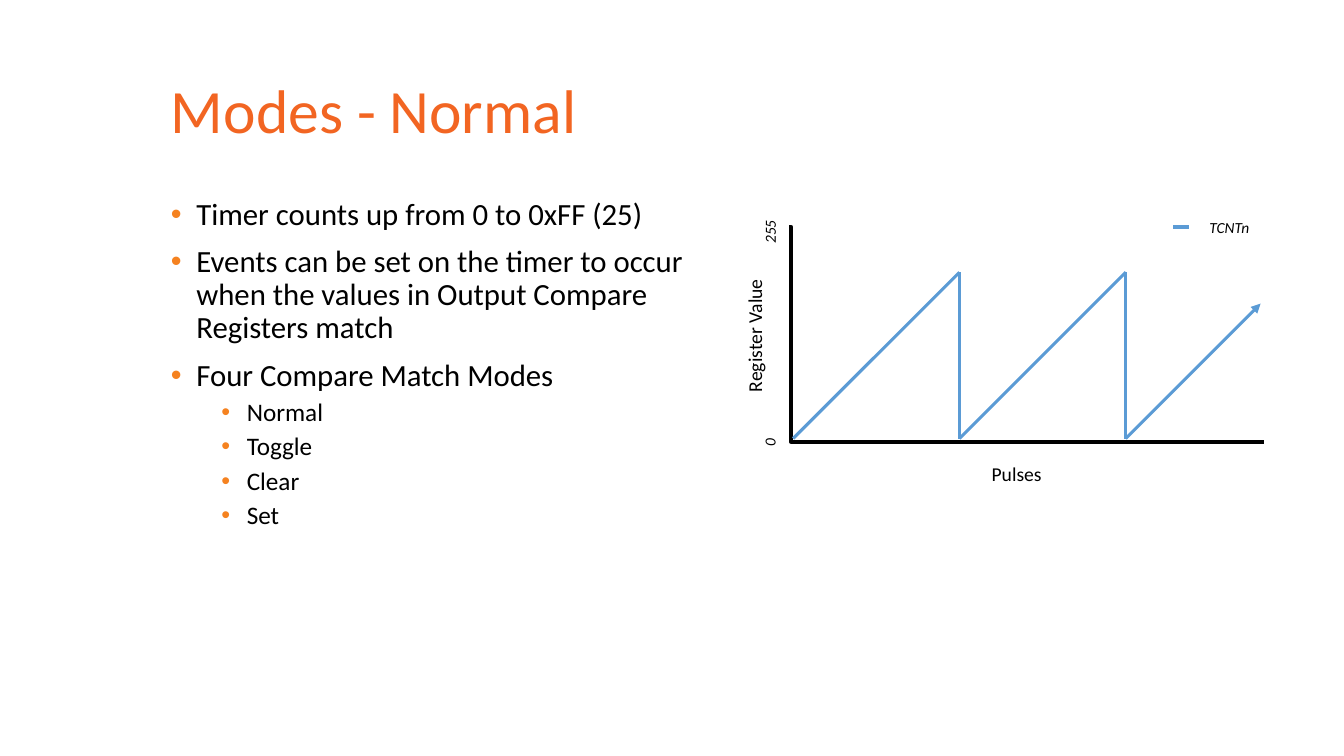
from lxml import etree
from pptx import Presentation
from pptx.dml.color import RGBColor
from pptx.enum.shapes import MSO_CONNECTOR
from pptx.enum.text import MSO_ANCHOR
from pptx.oxml.ns import qn
from pptx.util import Cm, Pt

STRAIGHT, ELBOW = MSO_CONNECTOR.STRAIGHT, MSO_CONNECTOR.ELBOW
TOP, MIDDLE = MSO_ANCHOR.TOP, MSO_ANCHOR.MIDDLE
FONT = "Calibri"
COLORS = {"title": "F26522", "text": "000000", "bullet": "F58220",
          "axis": "000000", "counter": "5B9BD5"}

TITLE = "Modes - Normal"
POINTS = [
    (0, "Timer counts up from 0 to 0xFF (25)"),
    (0, "Events can be set on the timer to occur when the values in "
        "Output Compare Registers match"),
    (0, "Four Compare Match Modes"),
    (1, "Normal"),
    (1, "Toggle"),
    (1, "Clear"),
    (1, "Set"),
]
LEVELS = [{"size": 22, "before": 10, "indent": 0.64},
          {"size": 18, "before": 5, "indent": 1.91}]
HANGING = 0.64
AXIS_LABELS = [
    ("Pulses", (24.74, 11.51, 1.8, 0.86), {"size": 14}),
    ("Register Value", (17.32, 8, 3.4, 0.86), {"size": 14, "rotation": 270}),
    ("255", (18.85, 5.46, 1.12, 0.74), {"size": 11, "italic": True, "rotation": 270}),
    ("0", (19.05, 10.77, 0.71, 0.74), {"size": 11, "italic": True, "rotation": 270}),
    ("TCNTn", (30.23, 5.36, 1.55, 0.74), {"size": 11, "italic": True}),
]
AXES = (19.89, 5.72, 31.85, 11.13)
AXIS_BEND = 400
LEGEND_KEY = (29.57, 5.72, 29.97, 5.72)
COUNT_START, COUNT_ZERO = 19.99, 11.05
PERIOD, LAST_RISE, FULL_PERIODS = 4.19, 3.4, 2

prs = Presentation()
prs.slide_width, prs.slide_height = Cm(33.87), Cm(19.05)
slide = prs.slides.add_slide(prs.slide_layouts[6])


def add_bullet(paragraph, indent):
    props = paragraph._p.get_or_add_pPr()
    props.set("marL", str(Cm(indent)))
    props.set("indent", str(-Cm(HANGING)))
    color = etree.SubElement(props, qn("a:buClr"))
    etree.SubElement(color, qn("a:srgbClr"), val=COLORS["bullet"])
    etree.SubElement(props, qn("a:buFont"), typeface="Arial")
    etree.SubElement(props, qn("a:buChar"), char="•")


def add_text(content, box, size=None, color="text", italic=False, rotation=0,
             wrap=False, anchor=TOP, spacing=1.0):
    holder = slide.shapes.add_textbox(*map(Cm, box))
    holder.rotation = rotation
    frame = holder.text_frame
    frame.word_wrap, frame.vertical_anchor = wrap, anchor
    rows = [(None, content)] if isinstance(content, str) else content
    for number, (level, words) in enumerate(rows):
        paragraph = frame.add_paragraph() if number else frame.paragraphs[0]
        paragraph.line_spacing = spacing
        style = {"size": size}
        if level is not None:
            style = LEVELS[level]
            paragraph.level = level
            paragraph.space_before = Pt(style["before"])
            add_bullet(paragraph, style["indent"])
        run = paragraph.add_run()
        run.text = words
        run.font.name, run.font.size = FONT, Pt(style["size"])
        run.font.italic = italic
        run.font.color.rgb = RGBColor.from_string(COLORS[color])


def add_line(ends, color="counter", width=2.25, kind=STRAIGHT, arrow=False):
    line = slide.shapes.add_connector(kind, *map(Cm, ends))
    line.line.color.rgb = RGBColor.from_string(COLORS[color])
    line.line.width = Pt(width)
    props = line._element.spPr
    if arrow:
        etree.SubElement(props.find(qn("a:ln")), qn("a:tailEnd"), type="triangle")
    etree.SubElement(props, qn("a:effectLst"))
    return line


add_text(TITLE, (4.06, 1.02, 29.21, 3.68), size=44, color="title",
         wrap=True, anchor=MIDDLE, spacing=0.9)
add_text(POINTS, (4.06, 4.88, 13.54, 12.78), wrap=True, spacing=0.9)

axes = add_line(AXES, color="axis", width=3, kind=ELBOW)
bend = axes._element.spPr.find(qn("a:prstGeom")).get_or_add_avLst()
etree.SubElement(bend, qn("a:gd"), name="adj1", fmla=f"val {AXIS_BEND}")

for period in range(FULL_PERIODS + 1):
    overflows = period < FULL_PERIODS
    rise = PERIOD if overflows else LAST_RISE
    left = COUNT_START + period * PERIOD
    right, peak = left + rise, COUNT_ZERO - rise
    add_line((left, COUNT_ZERO, right, peak), arrow=not overflows)
    if overflows:
        add_line((right, COUNT_ZERO, right, peak))

add_line(LEGEND_KEY)
for words, box, style in AXIS_LABELS:
    add_text(words, box, **style)

prs.save("out.pptx")
